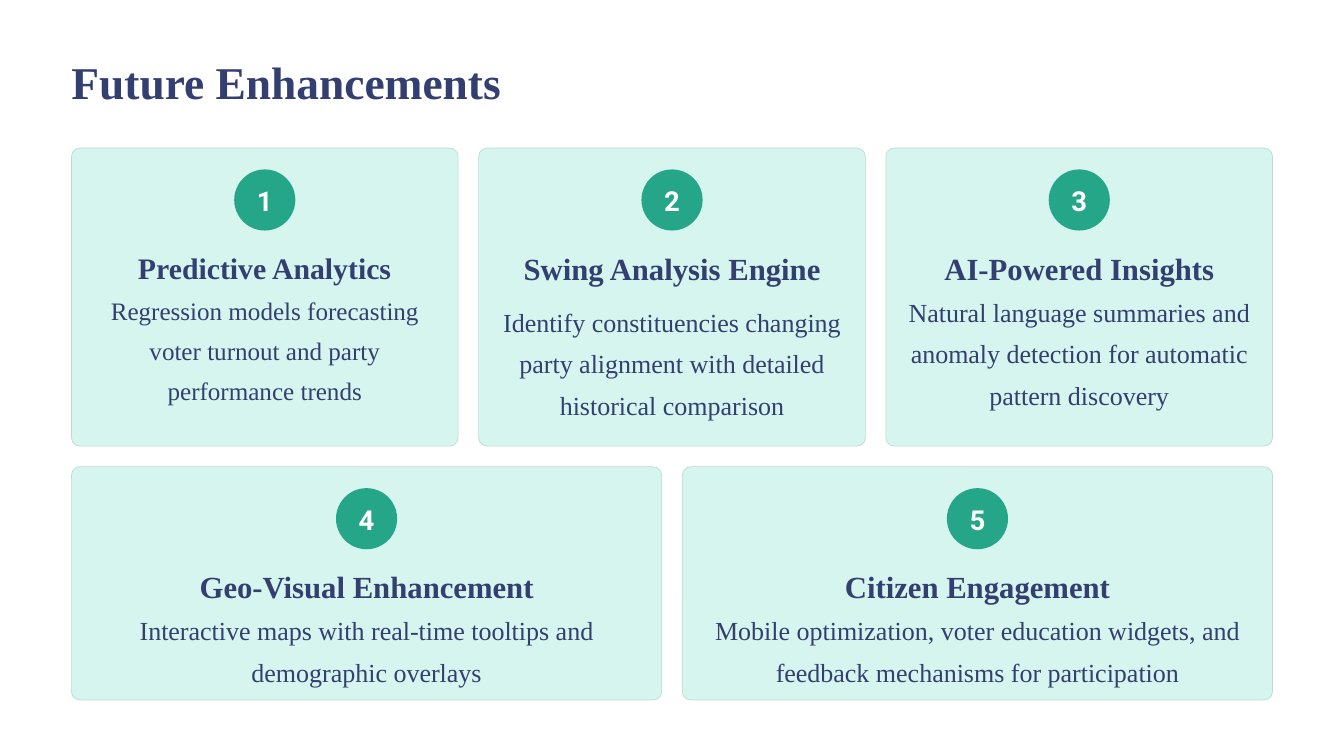
from dataclasses import dataclass

from pptx import Presentation
from pptx.dml.color import RGBColor
from pptx.enum.shapes import MSO_SHAPE as Shape
from pptx.enum.text import MSO_AUTO_SIZE as AutoSize, PP_ALIGN as Align
from pptx.util import Pt

NAVY, MINT, GREEN, BORDER, WHITE = "333F70", "D6F5EE", "26A688", "BCDBD4", "FFFFFF"
SERIF, SANS = "Times New Roman", "Roboto"
LEFT, CONTENT_WIDTH, GAP = 76.5, 1287, 22
RADIUS, CIRCLE, PADDING = 9.2, 65.5, 22.5


@dataclass
class Card:
    """Wording of one card and the format that varies between cards."""
    heading: str
    body: str
    heading_width: float
    body_height: float
    heading_size: float = 32.9
    heading_spacing: float = 41.3
    body_size: float = 27.9
    body_spacing: float = 44.6
    body_offset: float = 147.5


TOP_ROW = [
    Card("Predictive Analytics",
         "Regression models forecasting voter turnout and party performance trends",
         346.5, 127.5, heading_size=31.9, heading_spacing=40, body_size=26.9, body_spacing=43),
    Card("Swing Analysis Engine",
         "Identify constituencies changing party alignment with detailed historical comparison",
         369.5, 131, body_offset=158.5),
    Card("AI-Powered Insights",
         "Natural language summaries and anomaly detection for automatic pattern discovery",
         343.5, 131),
]
BOTTOM_ROW = [
    Card("Geo-Visual Enhancement",
         "Interactive maps with real-time tooltips and demographic overlays",
         430.5, 87),
    Card("Citizen Engagement",
         "Mobile optimization, voter education widgets, and feedback mechanisms for participation",
         347, 87),
]


def color(value):
    """Turn a hex string into a colour."""
    return RGBColor.from_string(value)


def add_text(slide, text, left, top, width, height, *, size, spacing,
             font=SERIF, fill=NAVY, bold=False, align=Align.CENTER):
    """Add a text box without margins, holding one paragraph."""
    frame = slide.shapes.add_textbox(Pt(left), Pt(top), Pt(width), Pt(height)).text_frame
    frame.word_wrap = True
    frame.auto_size = AutoSize.SHAPE_TO_FIT_TEXT
    frame.margin_left = frame.margin_right = frame.margin_top = frame.margin_bottom = 0
    paragraph = frame.paragraphs[0]
    paragraph.alignment = align
    paragraph.line_spacing = Pt(spacing)
    run = paragraph.add_run()
    run.text = text
    run.font.name, run.font.size, run.font.bold = font, Pt(size), bold
    run.font.color.rgb = color(fill)


def add_panel(slide, kind, left, top, width, height, fill, line=None):
    """Add a filled shape, outlined only when a line colour is given."""
    shape = slide.shapes.add_shape(kind, Pt(left), Pt(top), Pt(width), Pt(height))
    shape.shadow.inherit = False
    shape.fill.solid()
    shape.fill.fore_color.rgb = color(fill)
    if line:
        shape.line.color.rgb = color(line)
        shape.line.width = Pt(0.75)
    else:
        shape.line.fill.background()
    return shape


def add_card(slide, card, number, left, top, width, height):
    """Add a card with its numbered circle, heading and body."""
    panel = add_panel(slide, Shape.ROUNDED_RECTANGLE, left, top, width, height, MINT, BORDER)
    panel.adjustments[0] = RADIUS / min(width, height)
    center = left + width / 2
    add_panel(slide, Shape.OVAL, center - CIRCLE / 2, top + 23, CIRCLE, CIRCLE, GREEN)
    add_text(slide, str(number), center - 15, top + 27.5, 30, 47,
             size=29.4, spacing=46.9, font=SANS, fill=WHITE, bold=True)
    add_text(slide, card.heading, center - card.heading_width / 2, top + 107,
             card.heading_width, 42, size=card.heading_size,
             spacing=card.heading_spacing, bold=True)
    add_text(slide, card.body, left + PADDING, top + card.body_offset,
             width - 2 * PADDING, card.body_height, size=card.body_size,
             spacing=card.body_spacing)


def add_row(slide, cards, first_number, top, height):
    """Spread cards evenly over the content width."""
    width = (CONTENT_WIDTH - GAP * (len(cards) - 1)) / len(cards)
    for index, card in enumerate(cards):
        add_card(slide, card, first_number + index, LEFT + index * (width + GAP),
                 top, width, height)


def main():
    """Build the slide and save it."""
    presentation = Presentation()
    presentation.slide_width, presentation.slide_height = Pt(1440), Pt(810)
    slide = presentation.slides.add_slide(presentation.slide_layouts[6])
    slide.background.fill.solid()
    slide.background.fill.fore_color.rgb = color(WHITE)
    add_text(slide, "Future Enhancements", LEFT, 56, 611.5, 62,
             size=48.7, spacing=60.6, bold=True, align=Align.LEFT)
    add_row(slide, TOP_ROW, 1, 158.5, 319.5)
    add_row(slide, BOTTOM_ROW, len(TOP_ROW) + 1, 500, 250)
    presentation.save("out.pptx")


if __name__ == "__main__":
    main()
